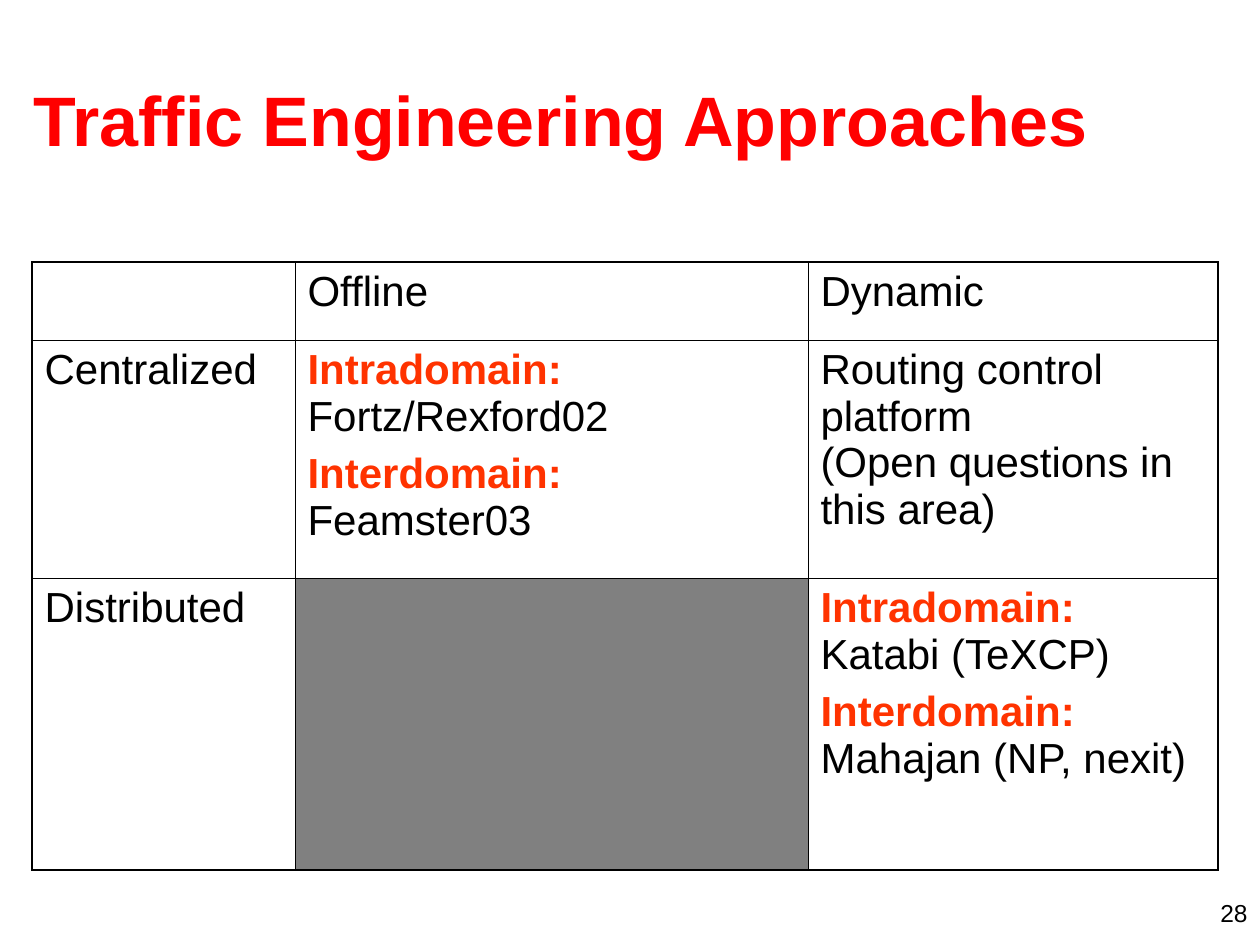
from lxml import etree
from pptx import Presentation
from pptx import util as u
from pptx.dml.color import RGBColor
from pptx.enum import text
from pptx.oxml.ns import qn

SCALE = 914400 / 126
BLACK, RED, ORANGE, GRAY = "000000", "FF0000", "FF3300", "808080"
COLS = [263, 513, 410]
ROWS = [78, 238, 292]
INTRA, INTER = "Intradomain:", "Interdomain:"
GRID = [
    [[], [("", "Offline")], [("", "Dynamic")]],
    [
        [("", "Centralized")],
        [(INTRA, " Fortz/Rexford02"), (INTER, " Feamster03")],
        [("", "Routing control platform\n(Open questions in this area)")],
    ],
    [
        [("", "Distributed")],
        None,
        [(INTRA, "\nKatabi (TeXCP)"), (INTER, "\nMahajan (NP, nexit)")],
    ],
]


def px(size):
    return u.Emu(round(size * SCALE))


def place(shape, left, top, width, height):
    shape.left, shape.top = px(left), px(top)
    shape.width, shape.height = px(width), px(height)


def paint(target, color):
    target.fill.solid()
    target.fill.fore_color.rgb = RGBColor.from_string(color)


def style(font, size, color=BLACK, bold=False):
    font.name, font.size, font.bold = "Arial", u.Pt(size), bold
    paint(font, color)


def add_runs(para, head, body):
    if head:
        run = para.add_run()
        run.text = head
        style(run.font, 24, ORANGE, True)
    for i, line in enumerate(body.split("\n")):
        if i:
            para.add_line_break()
        if line:
            run = para.add_run()
            run.text = line
            style(run.font, 24)


def add_border(cell, side, width):
    props = cell._tc.get_or_add_tcPr()
    line = etree.SubElement(props, qn(f"a:ln{side}"), w=str(u.Pt(width)))
    fill = etree.SubElement(line, qn("a:solidFill"))
    etree.SubElement(fill, qn("a:srgbClr"), val=BLACK)


def fill_cell(cell, items, outer):
    for side in "LRTB":
        add_border(cell, side, 1.08 if outer[side] else 0.45)
    if items is None:
        paint(cell, GRAY)
        return
    cell.fill.background()
    frame = cell.text_frame
    for i, (head, body) in enumerate(items):
        para = frame.add_paragraph() if i else frame.paragraphs[0]
        if i:
            para.space_before = u.Pt(6)
        add_runs(para, head, body)


def add_grid(slide):
    frame = slide.shapes.add_table(
        len(ROWS), len(COLS), px(32), px(262), px(sum(COLS)), px(sum(ROWS))
    )
    table = frame.table
    table.first_row = table.horz_banding = False
    for col, width in zip(table.columns, COLS):
        col.width = px(width)
    for row, height in zip(table.rows, ROWS):
        row.height = px(height)
    for r, line in enumerate(GRID):
        for c, items in enumerate(line):
            outer = {
                "L": c == 0,
                "R": c == len(COLS) - 1,
                "T": r == 0,
                "B": r == len(ROWS) - 1,
            }
            fill_cell(table.cell(r, c), items, outer)


def add_title(slide, words):
    title = slide.shapes.title
    place(title, 21, 40, 1207, 158)
    title.text_frame.text = words
    title.text_frame.vertical_anchor = text.MSO_ANCHOR.MIDDLE
    para = title.text_frame.paragraphs[0]
    para.alignment = text.PP_ALIGN.LEFT
    style(para.font, 40, RED, True)


def add_number(slide, number):
    box = slide.shapes.add_textbox(px(966), px(892), px(294), px(32))
    box.text_frame.word_wrap = True
    para = box.text_frame.paragraphs[0]
    para.text = number
    para.alignment = text.PP_ALIGN.RIGHT
    style(para.font, 14)


def main():
    deck = Presentation()
    deck.slide_width, deck.slide_height = px(1260), px(945)
    slide = deck.slides.add_slide(deck.slide_layouts[5])
    add_title(slide, "Traffic Engineering Approaches")
    add_grid(slide)
    add_number(slide, "28")
    deck.save("out.pptx")


if __name__ == "__main__":
    main()
